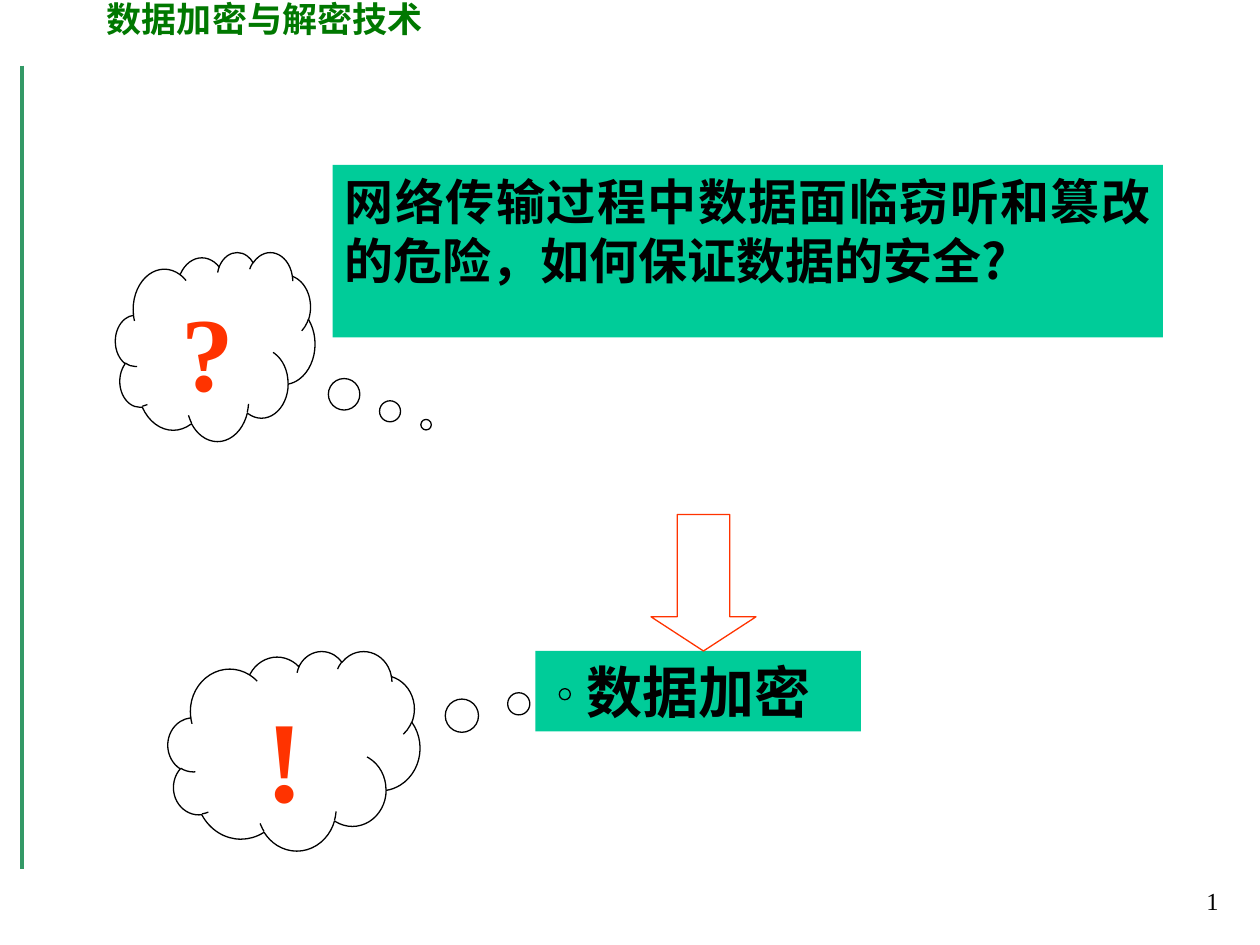
"""Build a slide that leads from eavesdropping risk to data encryption."""
from dataclasses import dataclass

import pptx
import pptx.dml.color
import pptx.enum.shapes
import pptx.enum.text
import pptx.oxml.ns
import pptx.util
from lxml import etree

Pt = pptx.util.Pt
RGB = pptx.dml.color.RGBColor.from_string
Shape = pptx.enum.shapes.MSO_SHAPE
Align = pptx.enum.text.PP_ALIGN
qn = pptx.oxml.ns.qn


@dataclass(frozen=True)
class Theme:
    """Colours, fonts and type sizes of the slide."""

    rule: str = "339966"
    heading: str = "007800"
    panel: str = "00CC99"
    ink: str = "000000"
    accent: str = "FF3300"
    han_font: str = "Noto Sans CJK SC"
    latin_font: str = "Times New Roman"
    heading_size: int = 20
    question_size: int = 28
    answer_size: int = 32
    question_mark_size: int = 60
    answer_mark_size: int = 66
    page_size: int = 14


THEME = Theme()


def write(holder, words, size, color, align=Align.LEFT, font=THEME.latin_font,
          bold=True):
    """Put one styled paragraph at the top of a shape."""
    frame = holder.text_frame
    frame.word_wrap = True
    frame.vertical_anchor = pptx.enum.text.MSO_ANCHOR.TOP
    paragraph = frame.paragraphs[0]
    paragraph.text = words
    paragraph.alignment = align
    paragraph.font.size = Pt(size)
    paragraph.font.bold = bold
    paragraph.font.color.rgb = RGB(color)
    paragraph.font.name = font
    defaults = paragraph._p.get_or_add_pPr().find(qn("a:defRPr"))
    etree.SubElement(defaults, qn("a:ea")).set("typeface", THEME.han_font)


def add_label(slide, box, words, size, color, **style):
    """Add a plain text box."""
    label = slide.shapes.add_textbox(*map(Pt, box))
    write(label, words, size, color, **style)


def add_figure(slide, kind, box, fill=None, line=None, adjustments=()):
    """Add a preset shape with an optional fill and outline."""
    figure = slide.shapes.add_shape(kind, *map(Pt, box))
    figure.shadow.inherit = False
    if fill:
        figure.fill.solid()
        figure.fill.fore_color.rgb = RGB(fill)
    else:
        figure.fill.background()
    if line:
        figure.line.color.rgb = RGB(line)
        figure.line.width = Pt(0.75)
    else:
        figure.line.fill.background()
    for index, value in enumerate(adjustments):
        figure.adjustments[index] = value
    return figure


def add_panel(slide, box, words, size, align):
    """Add a filled statement panel."""
    panel = add_figure(slide, Shape.RECTANGLE, box, fill=THEME.panel)
    write(panel, words, size, THEME.ink, align, THEME.han_font)


def add_thought(slide, box, mark, size, tail):
    """Add a thought cloud holding one punctuation mark."""
    cloud = add_figure(slide, Shape.CLOUD_CALLOUT, box, line=THEME.ink,
                       adjustments=tail)
    write(cloud, mark, size, THEME.accent, Align.CENTER)


def add_rule(slide, x, top, bottom):
    """Add the vertical rule at the left margin."""
    rule = slide.shapes.add_connector(
        pptx.enum.shapes.MSO_CONNECTOR.STRAIGHT, *map(Pt, (x, top, x, bottom)))
    rule.line.color.rgb = RGB(THEME.rule)
    rule.line.width = Pt(2.25)
    etree.SubElement(rule._element.spPr, qn("a:effectLst"))


def main():
    """Compose and save the slide."""
    deck = pptx.Presentation()
    deck.slide_width, deck.slide_height = Pt(720), Pt(540)
    slide = deck.slides.add_slide(deck.slide_layouts[6])

    add_rule(slide, 12.75, 37.5, 496.75)
    add_label(slide, (54, -5, 234, 31.7), "数据加密与解密技术",
              THEME.heading_size, THEME.heading, font=THEME.han_font)
    add_panel(slide, (190, 94.3, 474.5, 98.6),
              "网络传输过程中数据面临窃听和篡改的危险，如何保证数据的安全?",
              THEME.question_size, Align.JUSTIFY)
    add_thought(slide, (66, 144, 114, 108), "?", THEME.question_mark_size,
                (1.057, 0.414))
    add_panel(slide, (306, 372, 186, 46), "数据加密",
              THEME.answer_size, Align.CENTER)
    add_figure(slide, Shape.DOWN_ARROW, (372, 294, 60, 78),
               line=THEME.accent, adjustments=(0.5, 0.325))
    add_thought(slide, (96, 372, 144, 114), "!", THEME.answer_mark_size,
                (1.075, -0.283))
    add_label(slide, (535.5, 502.5, 168, 37.5), "1", THEME.page_size,
              THEME.ink, align=Align.RIGHT, bold=False)

    deck.save("out.pptx")


if __name__ == "__main__":
    main()
